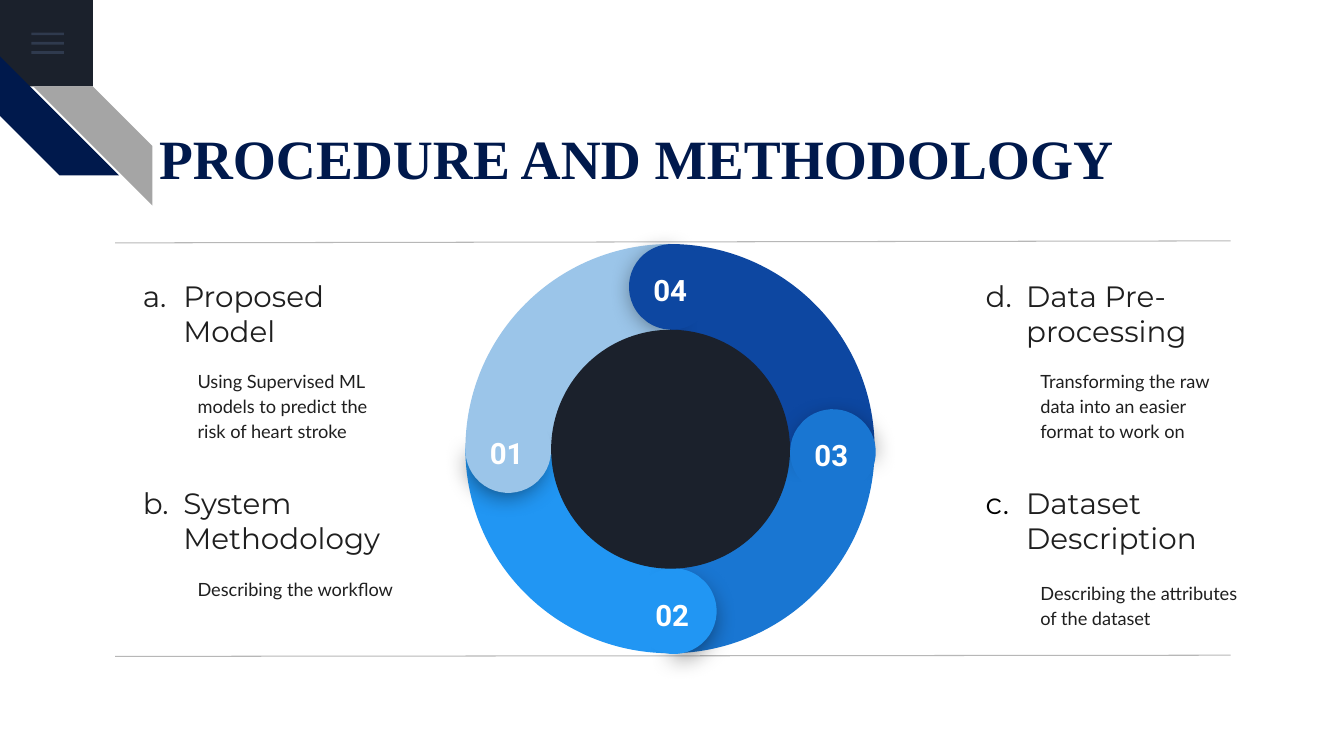
from lxml import etree
from pptx import Presentation
from pptx import util as u
from pptx.dml import color
from pptx.enum import shapes, text
from pptx.oxml import ns

HUES = {"dark": "1B212C", "bar": "55688B", "navy": "00194C", "gray": "A5A5A5",
        "rule": "B7B7B7", "ink": "1F1F1F", "black": "000000", "white": "FFFFFF"}

TITLE = "PROCEDURE AND METHODOLOGY"

# letter position, heading, detail, left, top, width, detail top, bullet colour
TOPICS = [
    (1, "Proposed Model", "Using Supervised ML models to predict the risk of heart stroke",
     3.02, 7.06, 6.86, 8.92, "ink"),
    (2, "System Methodology", "Describing the workflow",
     3.02, 12.29, 7.59, 13.51, "ink"),
    (4, "Data Pre-processing", "Transforming the raw data into an easier format to work on",
     24.26, 7.06, 7.59, 8.92, "ink"),
    (3, "Dataset Description", "Describing the attributes of the dataset",
     24.26, 12.29, 6.86, 13.94, "black"),
]

# number, colour, centre of the round end, outward direction
STEPS = [
    ("01", "9BC5E9", (12.81, 11.34), (-1, 0)),
    ("02", "2196F3", (16.98, 15.4), (0, 1)),
    ("03", "1976D2", (20.99, 11.39), (1, 0)),
    ("04", "0D47A1", (16.93, 7.23), (0, -1)),
]
RULES = [(6.07, 6.12), (16.51, 16.54)]  # right end, left end

KIND = shapes.MSO_SHAPE
deck = Presentation()
deck.slide_width, deck.slide_height = u.Cm(33.87), u.Cm(19.05)
slide = deck.slides.add_slide(deck.slide_layouts[6])


def rgb(hue):
    return color.RGBColor.from_string(HUES.get(hue, hue))


def node(up, tag, **attrs):
    return etree.SubElement(up, ns.qn("a:" + tag), attrs)


def around(x, y, w, h):
    return x - w / 2, y - h / 2, w, h


def shape(kind, box, hue, turn=0, adj=()):
    item = slide.shapes.add_shape(kind, *map(u.Cm, box))
    item.shadow.inherit = False
    item.fill.solid()
    item.fill.fore_color.rgb = rgb(hue)
    item.line.fill.background()
    item.rotation = turn % 360
    for i, val in enumerate(adj):
        item.adjustments[i] = val
    return item


def write(words, box, font, size, hue, bold=False, anchor="MIDDLE", align=None,
          pads=(0.33,) * 4, space=None, after=None, letter=None, mark="ink"):
    frame = slide.shapes.add_textbox(*map(u.Cm, box)).text_frame
    frame.word_wrap = True
    frame.vertical_anchor = text.MSO_ANCHOR[anchor]
    (frame.margin_left, frame.margin_top,
     frame.margin_right, frame.margin_bottom) = map(u.Cm, pads)
    para = frame.paragraphs[0]
    if align:
        para.alignment = text.PP_ALIGN[align]
    if space:
        para.line_spacing = space
    if after:
        para.space_after = u.Pt(after)
    if letter:
        props = para._p.get_or_add_pPr()
        props.set("marL", str(u.Cm(1.27)))
        props.set("indent", str(u.Cm(-1.02)))
        node(node(props, "buClr"), "srgbClr", val=HUES[mark])
        node(props, "buFont", typeface=font)
        node(props, "buAutoNum", type="alphaLcPeriod", startAt=str(letter))
    run = para.add_run()
    run.text = words
    run.font.name, run.font.size, run.font.bold = font, u.Pt(size), bold
    run.font.color.rgb = rgb(hue)


def shade(item):
    glow = node(item._element.spPr.find(ns.qn("a:effectLst")), "outerShdw",
                blurRad=str(u.Pt(18)), dist=str(u.Pt(4)), dir="5400000",
                algn="bl", rotWithShape="0")
    node(node(glow, "srgbClr", val=HUES["black"]), "alpha", val="55000")


# Corner: menu tile and two stripes
shape(KIND.RECTANGLE, (0, 0, 2.34, 2.18), "dark")
for i in range(3):
    bar = shape(KIND.RECTANGLE, (0.79, 0.82 + 0.235 * i, 0.82, 0.07), "bar")
    tint = bar._element.spPr.find(ns.qn("a:solidFill"))[0]
    node(tint, "alpha", val="36000")
shape(KIND.DIAGONAL_STRIPE, (0, 1.42, 3, 3), "navy", 270, [0.5])
stripe = shape(KIND.DIAGONAL_STRIPE, (0.84, 2.18, 3, 3), "gray", 0, [0.5])
stripe._element.spPr.find(ns.qn("a:xfrm")).set("flipH", "1")

# Title
write(TITLE, (3.76, 1.45, 26.06, 3.38), "Times New Roman", 39.6, "navy", bold=True,
      anchor="BOTTOM", pads=(0.25, 0.13, 0.25, 0), space=0.9)

# Topics
for letter, head, body, x, y, w, low, mark in TOPICS:
    write(head, (x, y, w, 1.65), "Montserrat", 21, "ink", letter=letter, mark=mark)
    write(body, (x + 1.63, low, 5.74, 2.57), "Lato", 13, "ink", space=1.15, after=21)

# Rules above and below
for right, left in RULES:
    rule = slide.shapes.add_connector(
        shapes.MSO_CONNECTOR.STRAIGHT, *map(u.Cm, (31.01, right, 2.9, left)))
    rule.line.color.rgb = rgb("rule")
    rule.line.width = u.Pt(0.75)
    node(rule._element.spPr, "effectLst")

# Ring: quarters first, then round ends with numbers
for i, (_, hue, _, _) in enumerate(STEPS):
    shape(KIND.PIE, (11.73, 6.15, 10.31, 10.31), hue, -90 * i, [107.96, 162.01])
for i, (num, hue, (x, y), (dx, dy)) in enumerate(STEPS):
    half = around(x + 0.05 * dx, y + 0.05 * dy, 1.93, 1.93)
    shade(shape(KIND.PIE, half, hue, 39.5 - 90 * i, [189.54, 83.81]))
    shape(KIND.CHORD, around(x, y, 2.16, 2.16), hue, 4.1 - 90 * i, [25.01, 18.12])
    write(num, around(x - 0.04, y - 0.2, 1.88, 0.99), "Roboto", 21, "white",
          bold=True, anchor="TOP", align="CENTER")
shape(KIND.OVAL, (13.89, 8.31, 6.02, 6.02), "dark")

deck.save("out.pptx")
